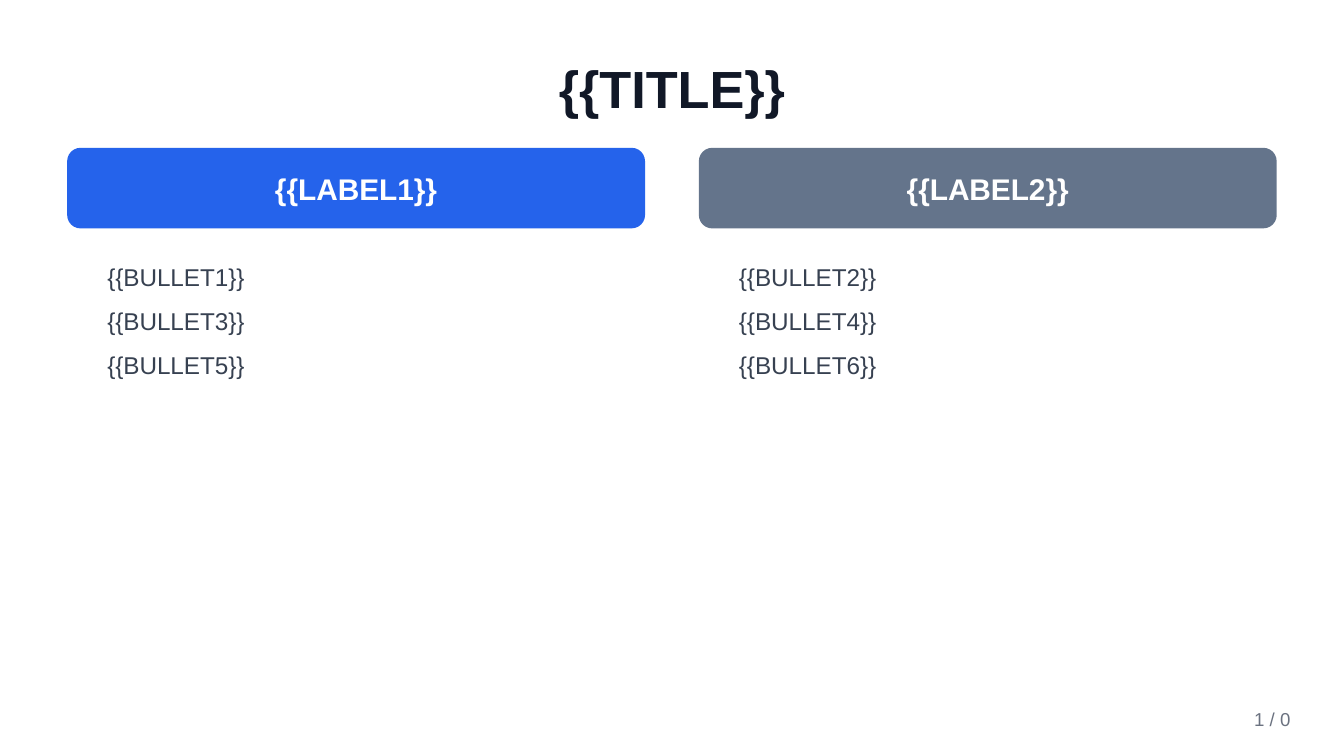
from dataclasses import dataclass

from pptx import Presentation
from pptx.dml.color import RGBColor
from pptx.enum.shapes import MSO_SHAPE as Shape
from pptx.enum.text import MSO_ANCHOR as Anchor, MSO_AUTO_SIZE as AutoSize, PP_ALIGN as Align
from pptx.util import Inches, Pt


@dataclass(frozen=True)
class Theme:
    font: str = "Arial"
    background: str = "FFFFFF"
    title: str = "111827"
    label: str = "FFFFFF"
    body: str = "374151"
    muted: str = "6B7280"
    primary: str = "2563EB"
    secondary: str = "64748B"
    title_size: int = 28
    label_size: int = 16
    body_size: int = 13
    page_size: int = 10


THEME = Theme()


def set_all(target, **values):
    for name, value in values.items():
        setattr(target, name, value)


def fill_solid(fill, color):
    fill.solid()
    fill.fore_color.rgb = RGBColor.from_string(color)


def write(shape, lines, size, color, bold=False, align=Align.LEFT, anchor=Anchor.MIDDLE, gap=0):
    frame = shape.text_frame
    set_all(frame, word_wrap=True, auto_size=AutoSize.NONE, vertical_anchor=anchor)
    frame.text = "\n".join(lines)
    for para in frame.paragraphs:
        set_all(para, alignment=align, space_before=Pt(0), space_after=Pt(gap))
        for span in para.runs:
            set_all(span.font, name=THEME.font, size=Pt(size), bold=bold)
            span.font.color.rgb = RGBColor.from_string(color)


def add_title(page, box, text):
    left, top, width, height = map(Inches, box)
    title = page.shapes.title
    set_all(title, left=left, top=top, width=width, height=height)
    write(title, [text], THEME.title_size, THEME.title, bold=True, align=Align.CENTER)


def add_column(page, box, label, bullets, color):
    left, top, width, height = box
    header_height, indent, gap = 0.6, 0.2, 0.2
    header = page.shapes.add_shape(
        Shape.ROUNDED_RECTANGLE, *map(Inches, (left, top, width, header_height)))
    header.shadow.inherit = False
    fill_solid(header.fill, color)
    header.line.fill.background()
    write(header, [label], THEME.label_size, THEME.label, bold=True, align=Align.CENTER)

    body_offset = header_height + gap
    body = page.shapes.add_textbox(*map(Inches, (
        left + indent, top + body_offset, width - 2 * indent, height - body_offset)))
    write(body, bullets, THEME.body_size, THEME.body, anchor=Anchor.TOP, gap=8)


def add_page_number(page, box, text):
    number = page.shapes.add_textbox(*map(Inches, box))
    write(number, [text], THEME.page_size, THEME.muted, align=Align.RIGHT)


def add_comparison(page, box, columns):
    left, top, width, height = box
    gutter = 0.4
    column_width = (width - gutter * (len(columns) - 1)) / len(columns)
    for index, (label, bullets, color) in enumerate(columns):
        column_left = left + index * (column_width + gutter)
        add_column(page, (column_left, top, column_width, height), label, bullets, color)


def main():
    deck = Presentation()
    deck_width = Inches(10)
    set_all(deck, slide_width=deck_width, slide_height=deck_width * 9 // 16)
    page = deck.slides.add_slide(deck.slide_layouts.get_by_name("Title Only"))
    fill_solid(page.background.fill, THEME.background)

    add_title(page, (0.5, 0.3, 9, 0.7), "{{TITLE}}")
    add_comparison(page, (0.5, 1.1, 9, 3.6), [
        ("{{LABEL1}}", ["{{BULLET1}}", "{{BULLET3}}", "{{BULLET5}}"], THEME.primary),
        ("{{LABEL2}}", ["{{BULLET2}}", "{{BULLET4}}", "{{BULLET6}}"], THEME.secondary),
    ])
    add_page_number(page, (8.5, 5.2, 1.2, 0.3), "1 / 0")
    deck.save("out.pptx")


if __name__ == "__main__":
    main()
